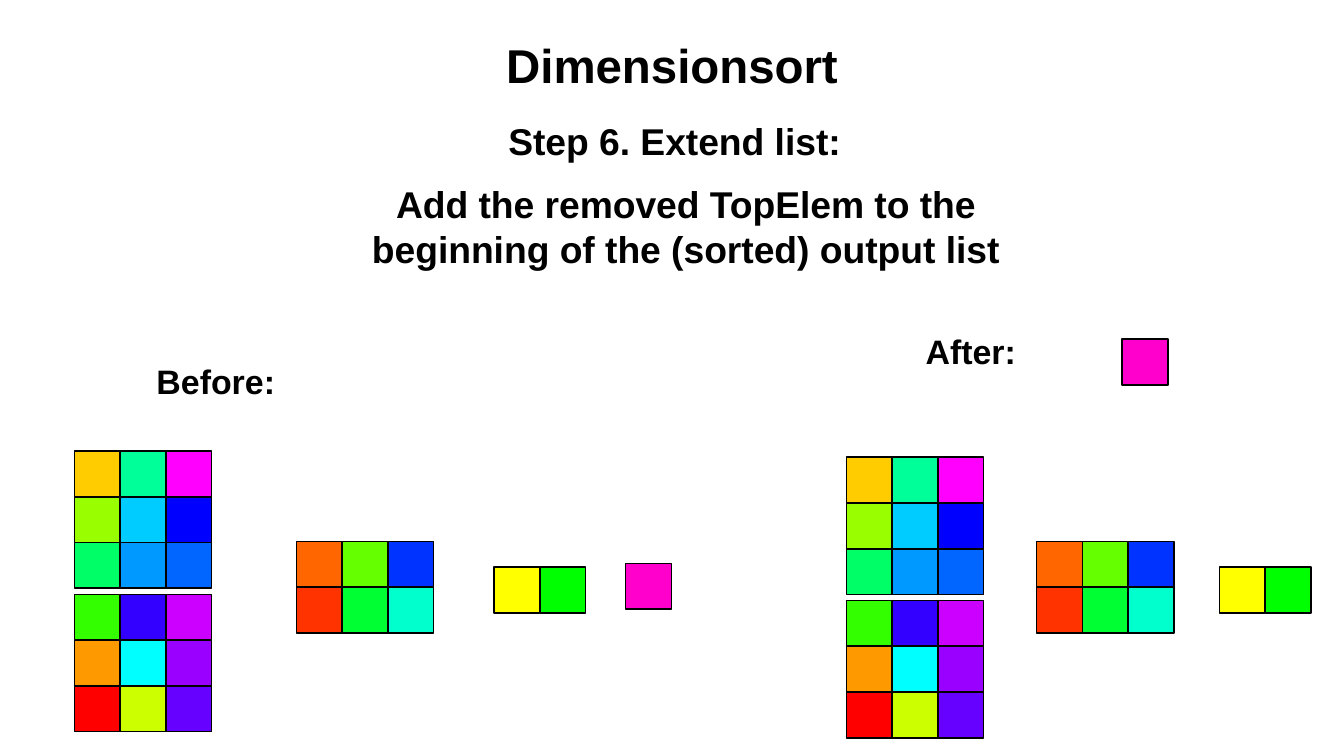
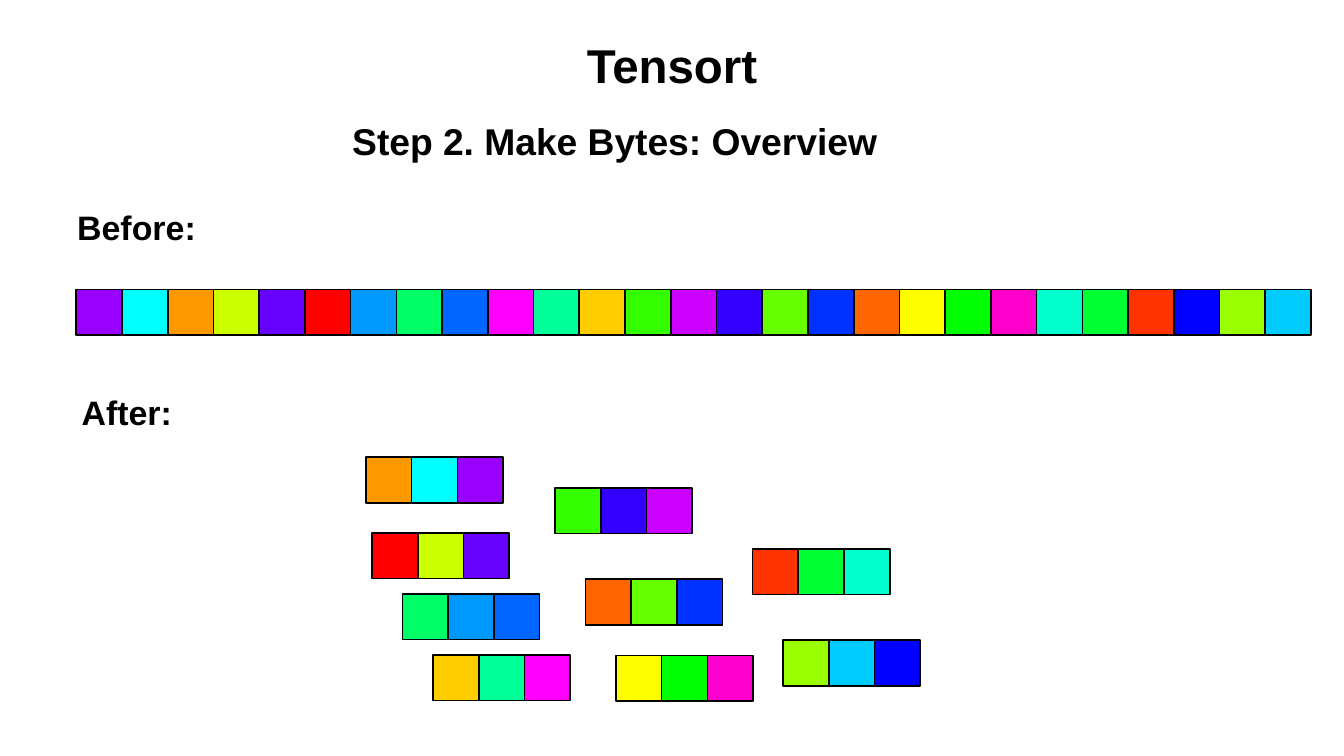
import pptx
import pptx.dml.color
import pptx.enum.shapes
import pptx.enum.text
import pptx.util

RGBColor = pptx.dml.color.RGBColor
PP_ALIGN = pptx.enum.text.PP_ALIGN
MSO_ANCHOR = pptx.enum.text.MSO_ANCHOR

EMU_PER_PX = 4572
SLIDE_WIDTH, SLIDE_HEIGHT = 2204, 1240
CELL = 75
FONT = "Arial"
TITLE_BOX = (110, 2, 1984, 208)
LABEL_SIZE = (384, 150)
STEP_SIZE = (1192, 156)

BLACK = RGBColor(0x00, 0x00, 0x00)
RED = RGBColor(0xFF, 0x00, 0x00)
VERMILION = RGBColor(0xFF, 0x33, 0x00)
TANGERINE = RGBColor(0xFF, 0x66, 0x00)
ORANGE = RGBColor(0xFF, 0x99, 0x00)
AMBER = RGBColor(0xFF, 0xCC, 0x00)
YELLOW = RGBColor(0xFF, 0xFF, 0x00)
LIME = RGBColor(0xCC, 0xFF, 0x00)
OLIVE = RGBColor(0x99, 0xFF, 0x00)
CHARTREUSE = RGBColor(0x66, 0xFF, 0x00)
LEAF = RGBColor(0x33, 0xFF, 0x00)
GREEN = RGBColor(0x00, 0xFF, 0x00)
EMERALD = RGBColor(0x00, 0xFF, 0x33)
SPRING = RGBColor(0x00, 0xFF, 0x66)
MINT = RGBColor(0x00, 0xFF, 0x99)
TURQUOISE = RGBColor(0x00, 0xFF, 0xCC)
CYAN = RGBColor(0x00, 0xFF, 0xFF)
SKY = RGBColor(0x00, 0xCC, 0xFF)
AZURE = RGBColor(0x00, 0x99, 0xFF)
COBALT = RGBColor(0x00, 0x66, 0xFF)
SAPPHIRE = RGBColor(0x00, 0x33, 0xFF)
BLUE = RGBColor(0x00, 0x00, 0xFF)
ULTRAMARINE = RGBColor(0x33, 0x00, 0xFF)
INDIGO = RGBColor(0x66, 0x00, 0xFF)
VIOLET = RGBColor(0x99, 0x00, 0xFF)
PURPLE = RGBColor(0xCC, 0x00, 0xFF)
MAGENTA = RGBColor(0xFF, 0x00, 0xFF)
PINK = RGBColor(0xFF, 0x00, 0xCC)

RED_BYTE = (RED, LIME, INDIGO)
ORANGE_BYTE = (ORANGE, CYAN, VIOLET)
AMBER_BYTE = (AMBER, MINT, MAGENTA)
OLIVE_BYTE = (OLIVE, SKY, BLUE)
SPRING_BYTE = (SPRING, AZURE, COBALT)
LEAF_BYTE = (LEAF, ULTRAMARINE, PURPLE)
TANGERINE_BYTE = (TANGERINE, CHARTREUSE, SAPPHIRE)
VERMILION_BYTE = (VERMILION, EMERALD, TURQUOISE)
YELLOW_BYTE = (YELLOW, GREEN, PINK)

UNSORTED_BITS = (
    VIOLET, CYAN, ORANGE, LIME, INDIGO, RED, AZURE, SPRING, COBALT,
    MAGENTA, MINT, AMBER, LEAF, PURPLE, ULTRAMARINE, CHARTREUSE, SAPPHIRE, TANGERINE,
    YELLOW, GREEN, PINK, TURQUOISE, EMERALD, VERMILION, BLUE, OLIVE, SKY,
)
UPPER_STACK = (AMBER_BYTE, OLIVE_BYTE, SPRING_BYTE)
LOWER_STACK = (LEAF_BYTE, ORANGE_BYTE, RED_BYTE)
BYTE_PAIR = (TANGERINE_BYTE, VERMILION_BYTE)
REMAINING_BITS = (YELLOW_BYTE[:2],)
TOP_ELEMENT = ((PINK,),)

BEFORE_BLOCKS = (
    (0, 0, UPPER_STACK), (0, 235, LOWER_STACK), (364, 148, BYTE_PAIR),
    (688, 190, REMAINING_BITS), (904, 184, TOP_ELEMENT),
)
AFTER_BLOCKS = (
    (0, 0, UPPER_STACK), (0, 235, LOWER_STACK), (312, 138, BYTE_PAIR),
    (612, 180, REMAINING_BITS), (452, -194, TOP_ELEMENT),
)
BYTE_BLOCKS = (
    (0, 0, (ORANGE_BYTE,)), (10, 124, (RED_BYTE,)), (60, 224, (SPRING_BYTE,)),
    (110, 324, (AMBER_BYTE,)), (410, 325, (YELLOW_BYTE,)), (310, 50, (LEAF_BYTE,)),
    (360, 200, (TANGERINE_BYTE,)), (634, 150, (VERMILION_BYTE,)),
    (684, 300, (OLIVE_BYTE,)),
)


def px(length):
    return pptx.util.Emu(length * EMU_PER_PX)


def write_text(shape, lines, size, alignment, anchor, margins=(0, 0)):
    frame = shape.text_frame
    frame.word_wrap = True
    frame.auto_size = pptx.enum.text.MSO_AUTO_SIZE.NONE
    frame.vertical_anchor = anchor
    frame.margin_left = frame.margin_right = px(margins[0])
    frame.margin_top = frame.margin_bottom = px(margins[1])
    for index, line in enumerate(lines):
        paragraph = frame.add_paragraph() if index else frame.paragraphs[0]
        paragraph.alignment = alignment
        paragraph.space_before = pptx.util.Pt(0)
        run = paragraph.add_run()
        run.text = line
        run.font.name = FONT
        run.font.size = pptx.util.Pt(size)
        run.font.bold = True
        run.font.color.rgb = BLACK


def fill_placeholder(shape, box, text, size):
    shape.left, shape.top, shape.width, shape.height = map(px, box)
    write_text(shape, [text], size, PP_ALIGN.CENTER, MSO_ANCHOR.MIDDLE)


def add_heading(slide, box, lines, alignment):
    shape = slide.shapes.add_textbox(*map(px, box))
    write_text(shape, lines, 22, alignment, MSO_ANCHOR.TOP, (20, 10))


def add_sort_slide(presentation, title, step, step_position, before_position, after_position):
    slide = presentation.slides.add_slide(presentation.slide_layouts[0])
    fill_placeholder(slide.shapes.title, TITLE_BOX, title, 28)
    fill_placeholder(slide.placeholders[1], before_position + LABEL_SIZE, "Before:", 20)
    after_label = slide.shapes.add_textbox(*map(px, after_position + LABEL_SIZE))
    write_text(after_label, ["After:"], 20, PP_ALIGN.CENTER, MSO_ANCHOR.MIDDLE)
    add_heading(slide, step_position + STEP_SIZE, [step], PP_ALIGN.LEFT)
    return slide


def draw_cells(shapes, left, top, rows):
    for row_index, row in enumerate(rows):
        for column_index, color in enumerate(row):
            cell = shapes.add_shape(
                pptx.enum.shapes.MSO_SHAPE.RECTANGLE,
                px(left + column_index * CELL), px(top + row_index * CELL),
                px(CELL), px(CELL),
            )
            cell.shadow.inherit = False
            cell.fill.solid()
            cell.fill.fore_color.rgb = color
            cell.line.color.rgb = BLACK
            cell.line.width = pptx.util.Pt(1)


def draw_blocks(shapes, left, top, blocks):
    for offset_x, offset_y, rows in blocks:
        draw_cells(shapes, left + offset_x, top + offset_y, rows)


def build_extend_list_slide(presentation):
    slide = add_sort_slide(
        presentation, "Dimensionsort", "Step 6. Extend list:",
        (814, 184), (162, 550), (1400, 500),
    )
    add_heading(
        slide, (200, 288, 1850, 156),
        ["Add the removed TopElem to the", "beginning of the (sorted) output list"],
        PP_ALIGN.CENTER,
    )
    draw_blocks(slide.shapes, 1388, 750, AFTER_BLOCKS)
    draw_blocks(slide.shapes, 122, 740, BEFORE_BLOCKS)


def build_make_bytes_slide(presentation):
    slide = add_sort_slide(
        presentation, "Tensort", "Step 2. Make Bytes: Overview",
        (558, 184), (32, 298), (16, 600),
    )
    strip = slide.shapes.add_group_shape()
    draw_cells(strip.shapes, 125, 475, (UNSORTED_BITS,))
    draw_blocks(slide.shapes, 600, 750, BYTE_BLOCKS)


def main():
    presentation = pptx.Presentation()
    presentation.slide_width = px(SLIDE_WIDTH)
    presentation.slide_height = px(SLIDE_HEIGHT)
    build_extend_list_slide(presentation)
    build_make_bytes_slide(presentation)
    presentation.save("out.pptx")


if __name__ == "__main__":
    main()
